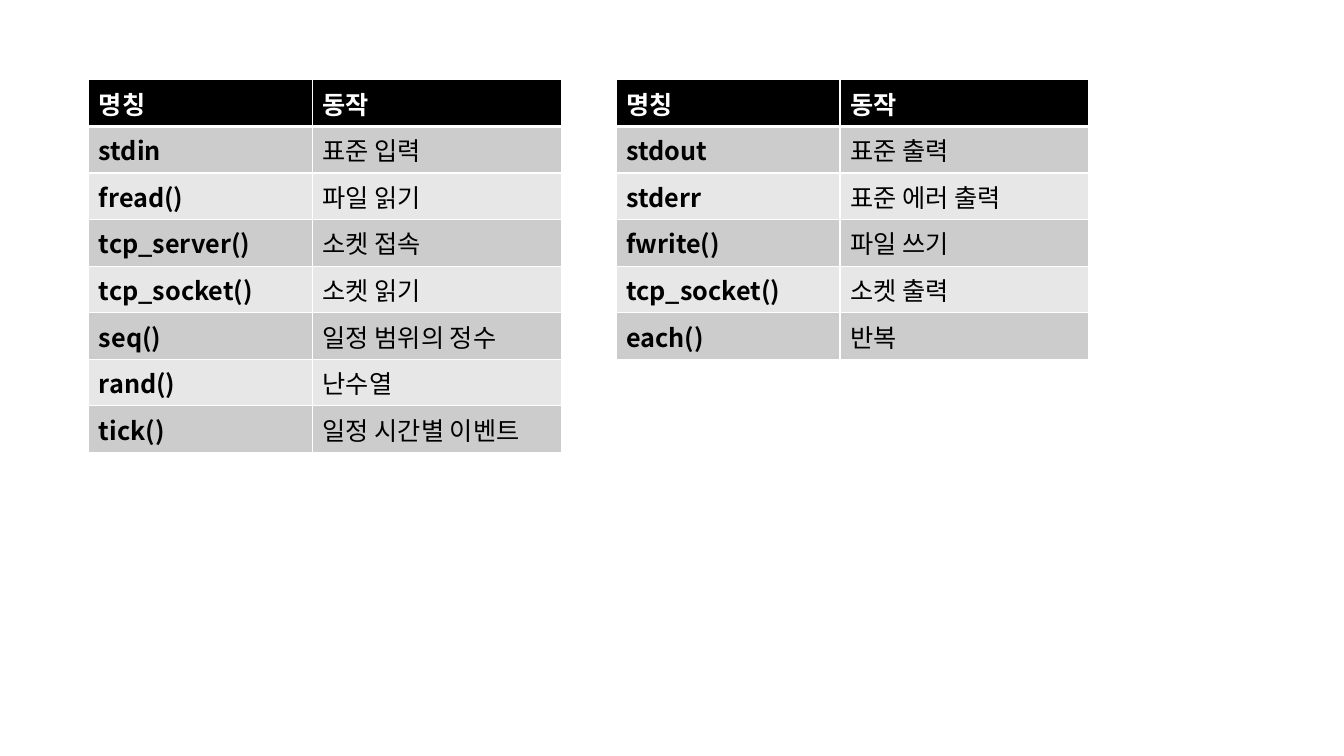
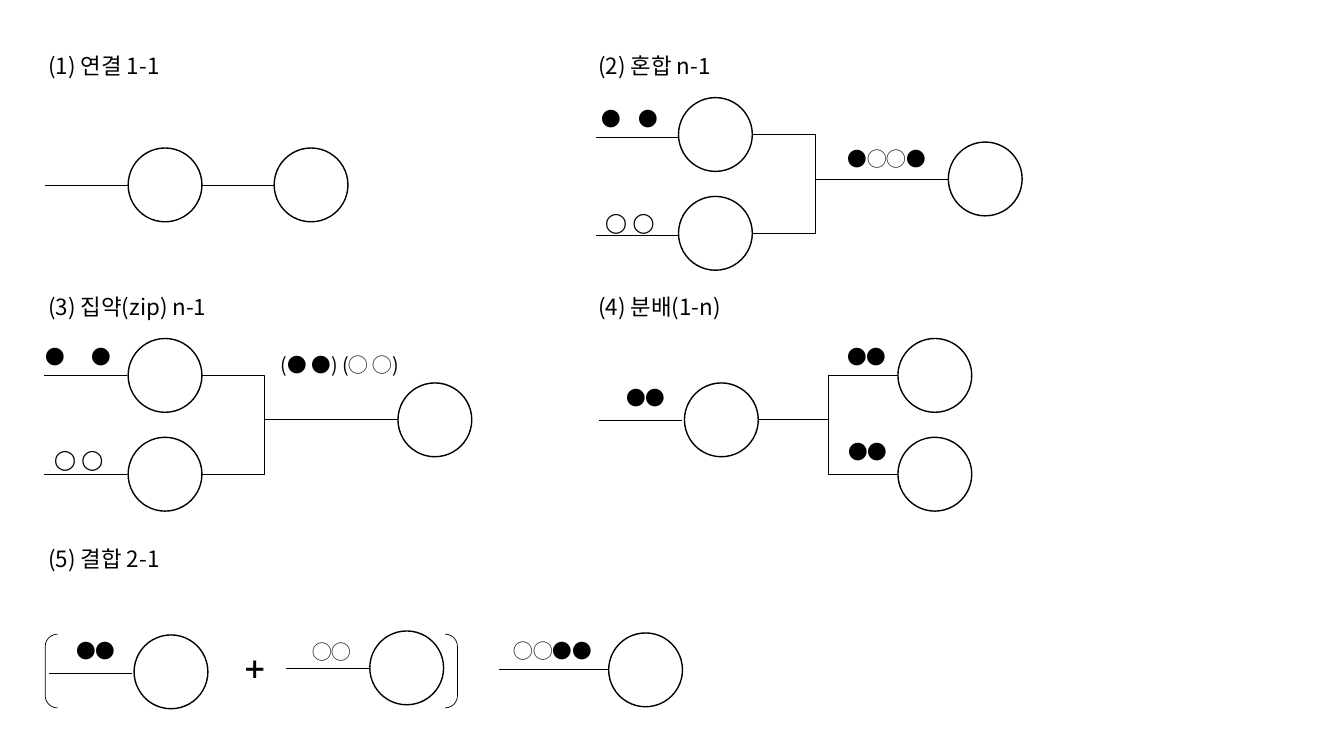
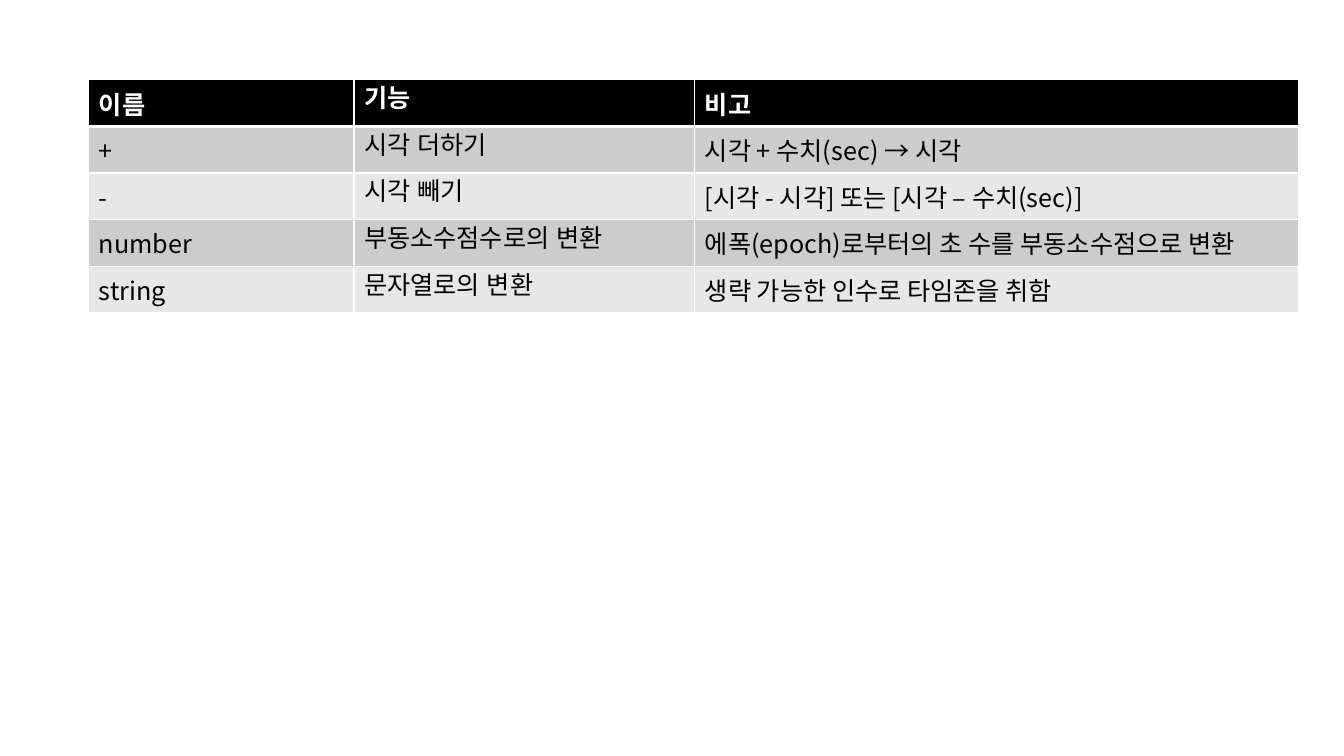
import dataclasses

import pptx
import pptx.dml.color
import pptx.enum.shapes
import pptx.enum.text
import pptx.oxml.ns
import pptx.oxml.xmlchemy
import pptx.util
from lxml import etree

Cm = pptx.util.Cm
Pt = pptx.util.Pt
RGBColor = pptx.dml.color.RGBColor
qn = pptx.oxml.ns.qn
MSO_SHAPE = pptx.enum.shapes.MSO_SHAPE
MSO_CONNECTOR = pptx.enum.shapes.MSO_CONNECTOR
PP_ALIGN = pptx.enum.text.PP_ALIGN


@dataclasses.dataclass(frozen=True)
class Theme:
    black: str = "000000"
    white: str = "FFFFFF"
    odd_row: str = "CCCCCC"
    even_row: str = "E7E7E7"
    font: str = "Noto Sans CJK KR"
    plain_font: str = "Arial"
    table_size: int = 18
    title_size: int = 16
    token_size: int = 14
    thin: float = 0.5
    outline: float = 1
    header_rule: float = 3


theme = Theme()


def write_text(frame, text, *, size, font=theme.font, color=theme.black,
               bold=False, alignment=PP_ALIGN.LEFT, tab=None):
    paragraph = frame.paragraphs[0]
    if tab:
        properties = paragraph._p.get_or_add_pPr()
        tabs = etree.SubElement(properties, qn("a:tabLst"))
        etree.SubElement(tabs, qn("a:tab"), pos=str(Cm(tab)), algn="l")
    paragraph.alignment = alignment
    run = paragraph.add_run()
    run.text = text
    run.font.size = Pt(size)
    run.font.bold = bold
    run.font.color.rgb = RGBColor.from_string(color)
    run.font.name = font
    etree.SubElement(run._r.get_or_add_rPr(), qn("a:ea"), typeface=font)


def add_grid(slide, left, widths, rows, bold_names=False, fonts=()):
    row_height = Cm(1.08)
    table = slide.shapes.add_table(
        len(rows), len(widths), Cm(left), Cm(2.01),
        Cm(sum(widths)), row_height * len(rows)).table
    table.horz_banding = False
    for column, width in zip(table.columns, widths):
        column.width = Cm(width)
    for row_index, row in enumerate(rows):
        table.rows[row_index].height = row_height
        header = row_index == 0
        fill = theme.black if header else (theme.odd_row if row_index % 2 else theme.even_row)
        for column_index, text in enumerate(row):
            cell = table.cell(row_index, column_index)
            properties = cell._tc.get_or_add_tcPr()
            for side in ("L", "R", "T", "B"):
                thick = (row_index, side) in ((0, "B"), (1, "T"))
                width = theme.header_rule if thick else theme.outline
                border = etree.SubElement(properties, qn(f"a:ln{side}"), w=str(Pt(width)))
                solid = etree.SubElement(border, qn("a:solidFill"))
                etree.SubElement(solid, qn("a:srgbClr"), val=theme.white)
            cell.fill.solid()
            cell.fill.fore_color.rgb = RGBColor.from_string(fill)
            write_text(cell.text_frame, text, size=theme.table_size,
                       font=fonts[column_index] if fonts else theme.font,
                       color=theme.white if header else theme.black,
                       bold=header or (bold_names and column_index == 0))


presentation = pptx.Presentation()
presentation.slide_width = Cm(33.87)
presentation.slide_height = Cm(19.05)
blank = presentation.slide_layouts[6]

slide = presentation.slides.add_slide(blank)
inputs = [
    ("명칭", "동작"),
    ("stdin", "표준 입력"),
    ("fread()", "파일 읽기"),
    ("tcp_server()", "소켓 접속"),
    ("tcp_socket()", "소켓 읽기"),
    ("seq()", "일정 범위의 정수"),
    ("rand()", "난수열"),
    ("tick()", "일정 시간별 이벤트"),
]
outputs = [
    ("명칭", "동작"),
    ("stdout", "표준 출력"),
    ("stderr", "표준 에러 출력"),
    ("fwrite()", "파일 쓰기"),
    ("tcp_socket()", "소켓 출력"),
    ("each()", "반복"),
]
for left, rows in ((2.24, inputs), (15.53, outputs)):
    add_grid(slide, left, (5.64, 6.27), rows, bold_names=True)

slide = presentation.slides.add_slide(blank)

diameter = 1.86
nodes = {
    "connect from": (3.23, 3.73),
    "connect to": (6.91, 3.73),
    "split from": (17.25, 9.65),
    "split upper": (22.63, 8.53),
    "split lower": (22.63, 11.02),
    "join first": (3.38, 16),
    "join second": (9.32, 15.9),
    "join result": (15.34, 15.95),
}
links = [
    ("connect from", "connect to", None),
    ("split from", "split upper", 0.5),
    ("split from", "split lower", 0.5),
]
for name, left, top in (("mix", 17.1, 2.46), ("zip", 3.23, 8.53)):
    nodes[f"{name} upper"] = (left, top)
    nodes[f"{name} lower"] = (left, top + 2.49)
    nodes[f"{name} to"] = (left + 6.8, top + 1.12)
    for branch in ("upper", "lower"):
        links.append((f"{name} {branch}", f"{name} to", 0.32))

outlines = [(MSO_SHAPE.OVAL, left, top, diameter, diameter, theme.outline)
            for left, top in nodes.values()]
outlines.append((MSO_SHAPE.DOUBLE_BRACKET, 1.14, 15.98, 10.39, 1.86, theme.thin))
for kind, left, top, width, height, weight in outlines:
    shape = slide.shapes.add_shape(kind, Cm(left), Cm(top), Cm(width), Cm(height))
    shape.shadow.inherit = False
    shape.fill.background()
    shape.line.color.rgb = RGBColor.from_string(theme.black)
    shape.line.width = Pt(weight)

lines = []
for source, target, bend in links:
    source_left, source_top = nodes[source]
    target_left, target_top = nodes[target]
    lines.append((source_left + diameter, source_top + diameter / 2,
                  target_left, target_top + diameter / 2, bend))
for left, right, y in (
    (1.13, 3.23, 4.66),
    (15.01, 17.1, 3.47), (15.01, 17.1, 5.93),
    (1.12, 3.21, 9.47), (1.12, 3.21, 11.96),
    (15.09, 17.18, 10.6),
    (1.23, 3.33, 16.97), (7.21, 9.3, 16.85), (12.57, 15.34, 16.87),
):
    lines.append((left, y, right, y, None))

for start_x, start_y, end_x, end_y, bend in lines:
    kind = MSO_CONNECTOR.ELBOW if bend else MSO_CONNECTOR.STRAIGHT
    connector = slide.shapes.add_connector(
        kind, Cm(start_x), Cm(start_y), Cm(end_x), Cm(end_y))
    connector.line.color.rgb = RGBColor.from_string(theme.black)
    connector.line.width = Pt(theme.thin)
    properties = connector._element.spPr
    etree.SubElement(properties, qn("a:effectLst"))
    if bend:
        adjustments = properties.find(qn("a:prstGeom")).find(qn("a:avLst"))
        etree.SubElement(adjustments, qn("a:gd"), name="adj1",
                         fmla=f"val {round(bend * 100000)}")

title_format = {"size": theme.title_size}
token_format = {"size": theme.token_size, "alignment": PP_ALIGN.CENTER}
ring_format = {**token_format, "font": theme.plain_font}
plus_format = {**token_format, "size": theme.table_size}

labels = []
titles = ("(1) 연결 1-1", "(2) 혼합 n-1", "(3) 집약(zip) n-1", "(4) 분배(1-n)", "(5) 결합 2-1")
for index, title in enumerate(titles):
    left = (0.97, 14.83)[index % 2]
    top = (1.19, 7.26, 13.61)[index // 2]
    labels.append((left, top, 6.76, title, title_format))
labels += [
    (14.92, 2.57, 2.69, "●\t●", {"size": theme.token_size, "tab": 0.93}),
    (14.53, 5.16, 2.69, "◯ ◯", ring_format),
    (21.01, 3.58, 2.69, "●◯◯●", token_format),
    (0.89, 8.56, 2.69, "●\t●", {"size": theme.token_size, "tab": 1.16}),
    (0.64, 11.13, 2.69, "◯ ◯", ring_format),
    (6.78, 8.76, 3.58, "(● ●) (◯ ◯)", token_format),
    (15.16, 9.6, 2.24, "●●", token_format),
    (20.73, 8.56, 2.24, "●●", token_format),
    (20.75, 10.97, 2.24, "●●", token_format),
    (1.3, 15.98, 2.24, "●●", token_format),
    (7.24, 16, 2.24, "◯◯", token_format),
    (5.44, 16.33, 1.96, "➕", plus_format),
    (12.29, 15.98, 3.28, "◯◯●●", token_format),
]
for left, top, width, text, text_format in labels:
    box = slide.shapes.add_textbox(Cm(left), Cm(top), Cm(width), Cm(0.9))
    box.text_frame.word_wrap = True
    box.text_frame.auto_size = pptx.enum.text.MSO_AUTO_SIZE.SHAPE_TO_FIT_TEXT
    write_text(box.text_frame, text, **text_format)

slide = presentation.slides.add_slide(blank)
time_operations = [
    ("이름", "기능", "비고"),
    ("+", "시각 더하기", "시각 + 수치(sec) → 시각"),
    ("-", "시각 빼기", "[시각 - 시각] 또는 [시각 – 수치(sec)]"),
    ("number", "부동소수점수로의 변환", "에폭(epoch)로부터의 초 수를 부동소수점으로 변환"),
    ("string", "문자열로의 변환", "생략 가능한 인수로 타임존을 취함"),
]
add_grid(slide, 2.24, (6.68, 8.59, 15.21), time_operations,
         fonts=(theme.font, theme.plain_font, theme.font))

presentation.save("out.pptx")
